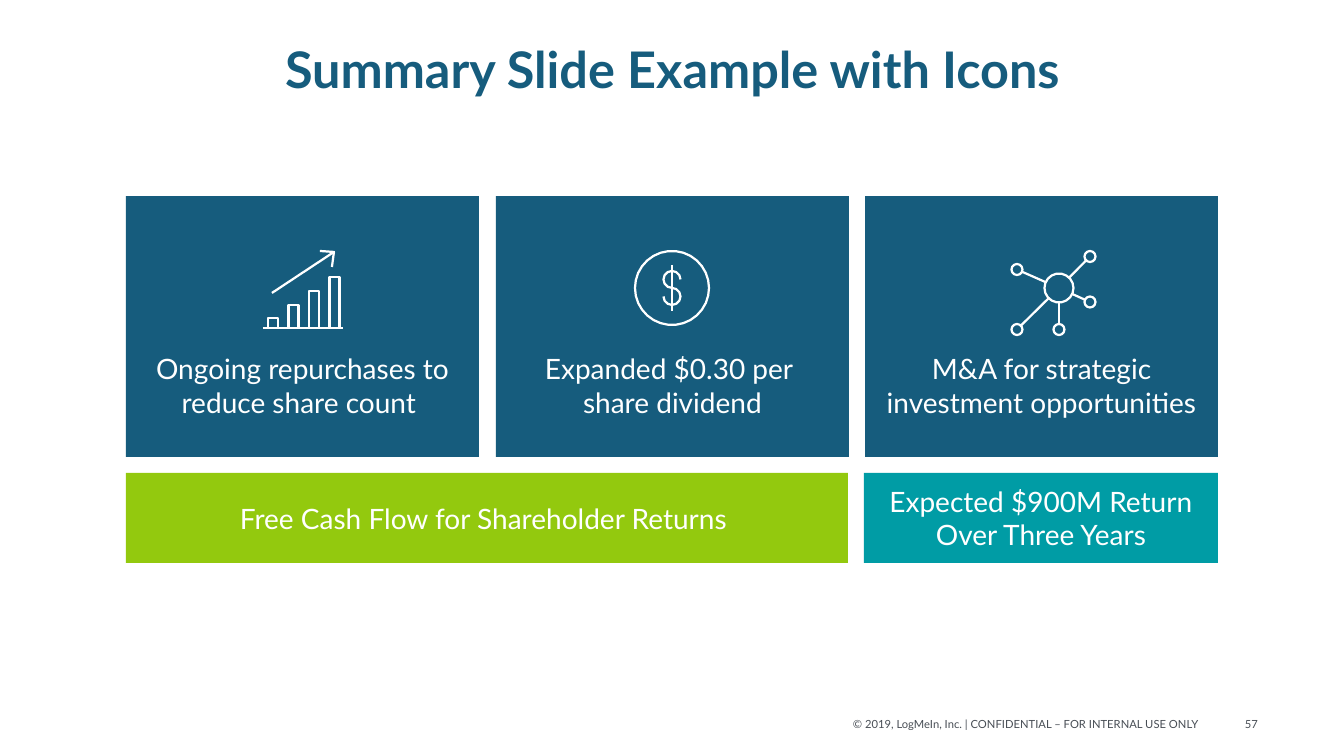
from math import cos, hypot, radians, sin

from pptx import Presentation
from pptx.dml.color import RGBColor
from pptx.enum.shapes import MSO_SHAPE
from pptx.enum.text import MSO_ANCHOR, PP_ALIGN
from pptx.util import Pt

EMU_PER_PX = 914400 / 100.8
FONT = "Lato"
NAVY, GREEN, TEAL = "165C7D", "93C90E", "009CA5"
WHITE, GREY = "FFFFFF", "484E55"

CARD_TOP, CARD_WIDTH, CARD_HEIGHT = 196, 353, 261
CARDS = [
    (126, ["Ongoing repurchases to reduce share count "]),
    (496, ["Expanded $0.30 per ", "share dividend"]),
    (865, ["M&A for strategic investment opportunities"]),
]


def px(length):
    return round(length * EMU_PER_PX)


def color(hex_string):
    return RGBColor.from_string(hex_string)


def write(frame, lines, size, hex_color, align=PP_ALIGN.CENTER, bold=False):
    for index, line in enumerate(lines):
        paragraph = frame.add_paragraph() if index else frame.paragraphs[0]
        paragraph.alignment = align
        run = paragraph.add_run()
        run.text = line
        run.font.name = FONT
        run.font.size = Pt(size)
        run.font.bold = bold
        run.font.color.rgb = color(hex_color)


def add_panel(slide, left, top, width, height, fill, lines,
              anchor=MSO_ANCHOR.MIDDLE, bottom_inset=5):
    """Filled rectangle with centred white text."""
    panel = slide.shapes.add_shape(
        MSO_SHAPE.RECTANGLE, px(left), px(top), px(width), px(height))
    panel.shadow.inherit = False
    panel.fill.solid()
    panel.fill.fore_color.rgb = color(fill)
    panel.line.fill.background()
    frame = panel.text_frame
    frame.word_wrap = True
    frame.vertical_anchor = anchor
    frame.margin_bottom = px(bottom_inset)
    write(frame, lines, 20, WHITE)


def add_footer_text(slide, left, width, text, align):
    box = slide.shapes.add_textbox(px(left), px(712), px(width), px(24))
    box.text_frame.word_wrap = True
    box.text_frame.margin_left = box.text_frame.margin_right = px(5)
    write(box.text_frame, [text], 8, GREY, align)


def add_icon(slide, strokes):
    """One white line drawing made of several strokes, each a list of points."""
    builder = slide.shapes.build_freeform(*map(px, strokes[0][0]))
    for index, stroke in enumerate(strokes):
        start, *rest = [(px(x), px(y)) for x, y in stroke]
        if index:
            builder.move_to(*start)
        builder.add_line_segments(rest, close=False)
    icon = builder.convert_to_shape()
    icon.shadow.inherit = False
    icon.fill.background()
    icon.line.color.rgb = color(WHITE)
    icon.line.width = Pt(1.6)


def arc(center, radius, start_angle, end_angle, step):
    """Points along a circle, angles in degrees clockwise from the right."""
    x, y = center
    return [(x + radius * cos(radians(a)), y + radius * sin(radians(a)))
            for a in range(start_angle, end_angle + step, step)]


def link(hub, hub_radius, node, node_radius):
    """Line between the rims of two circles."""
    dx, dy = node[0] - hub[0], node[1] - hub[1]
    distance = hypot(dx, dy)
    shares = hub_radius / distance, 1 - node_radius / distance
    return [(hub[0] + dx * share, hub[1] + dy * share) for share in shares]


def add_growth_icon(slide):
    baseline = 328
    strokes = [[(263, baseline), (343, baseline)]]
    for index in range(4):
        left, top = 268 + index * 20.5, 318 - index * 41 // 3
        strokes.append([(left, baseline), (left, top),
                        (left + 10, top), (left + 10, baseline)])
    arrow_tip = (334, 252)
    strokes.append([(272, 293), arrow_tip])
    strokes.append([(320, 251), arrow_tip, (332, 267)])
    add_icon(slide, strokes)


def add_dollar_icon(slide):
    coin = arc((672, 288), 37, 0, 360, 12)
    upper_loop = arc((672, 279.5), 8.5, 0, -270, -30)
    lower_loop = arc((672, 296.5), 8.5, -90, 180, 30)
    add_icon(slide, [coin, upper_loop + lower_loop[1:],
                     [(672, 265), (672, 311)]])


def add_network_icon(slide):
    hub, hub_radius, node_radius = (1059, 288), 14.5, 5.5
    nodes = [(1090, 256.5), (1017, 269.5), (1017, 329.5), (1059, 329.5),
             (1090, 302)]
    strokes = [arc(hub, hub_radius, 0, 360, 20)]
    for node in nodes:
        strokes.append(link(hub, hub_radius, node, node_radius))
        strokes.append(arc(node, node_radius, 0, 360, 30))
    add_icon(slide, strokes)


def add_title(slide, text):
    title = slide.shapes.title
    title.left, title.top, title.width, title.height = map(
        px, (93, 40, 1159, 130))
    title.text_frame.vertical_anchor = MSO_ANCHOR.TOP
    write(title.text_frame, [text], 36, NAVY, bold=True)
    title.text_frame.paragraphs[0].line_spacing = 0.9


def main():
    presentation = Presentation()
    presentation.slide_width, presentation.slide_height = px(1344), px(756)
    slide = presentation.slides.add_slide(presentation.slide_layouts[5])

    add_title(slide, "Summary Slide Example with Icons")
    for left, lines in CARDS:
        add_panel(slide, left, CARD_TOP, CARD_WIDTH, CARD_HEIGHT, NAVY, lines,
                  MSO_ANCHOR.BOTTOM, bottom_inset=38)
    add_panel(slide, 126, 473, 722, 90, GREEN,
              ["Free Cash Flow for Shareholder Returns "])
    add_panel(slide, 864, 473, 354, 90, TEAL,
              ["Expected $900M Return Over Three Years"])

    add_growth_icon(slide)
    add_dollar_icon(slide)
    add_network_icon(slide)

    add_footer_text(
        slide, 822, 382,
        "© 2019, LogMeIn, Inc. | CONFIDENTIAL – FOR INTERNAL USE ONLY",
        PP_ALIGN.RIGHT)
    add_footer_text(slide, 1235, 33, "57", PP_ALIGN.CENTER)

    presentation.save("out.pptx")


if __name__ == "__main__":
    main()
